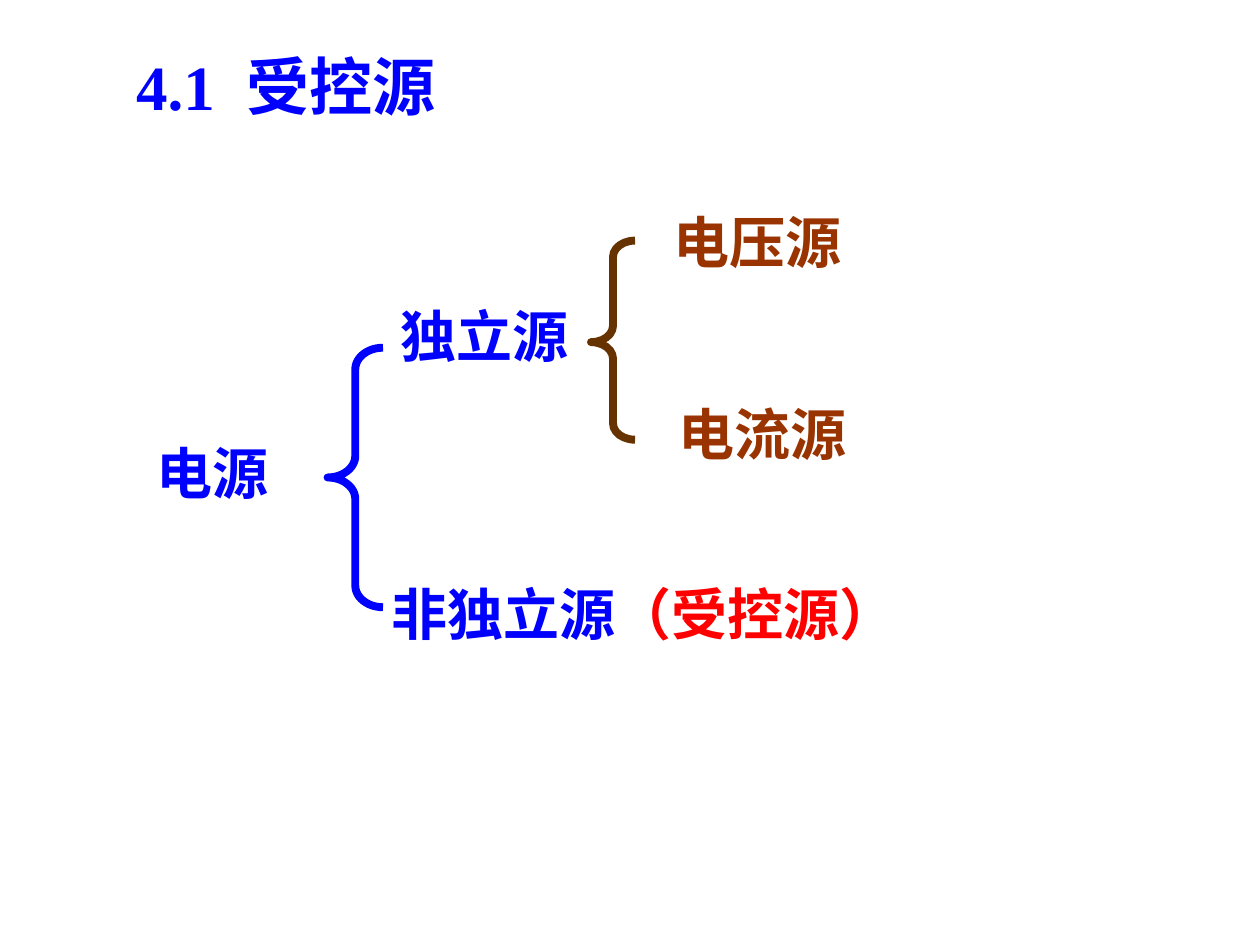
"""Build the slide that sorts power sources into a bracketed tree."""
from dataclasses import dataclass

from lxml.etree import SubElement
from pptx import Presentation
from pptx.dml.color import RGBColor
from pptx.enum.shapes import MSO_SHAPE as Shape
from pptx.enum.text import MSO_ANCHOR as Anchor, MSO_AUTO_SIZE as Fit, PP_ALIGN as Align
from pptx.oxml.ns import qn
from pptx.util import Inches, Pt

BLUE = RGBColor(0x00, 0x00, 0xFF)
RED = RGBColor(0xFF, 0x00, 0x00)
RUST = RGBColor(0x99, 0x33, 0x00)
BROWN = RGBColor(0x66, 0x33, 0x00)
HAN = "Noto Sans CJK SC"
ROMAN = "Times New Roman"


@dataclass
class Label:
    left: float
    top: float
    width: float
    words: list[tuple[str, RGBColor]]
    height: float = 0.64


@dataclass
class Brace:
    left: float
    top: float
    width: float
    height: float
    color: RGBColor
    curve: float
    tip: float


LABELS = [
    Label(1.14, 3.43, 1.81, [("电源", BLUE)]),
    Label(3.01, 4.55, 4.74, [("非独立源", BLUE), ("（受控源）", RED)]),
    Label(3.08, 2.34, 2.32, [("独立源", BLUE)]),
    Label(5.25, 1.6, 2.32, [("电压源", RUST)]),
    Label(5.29, 3.12, 2.36, [("电流源", RUST)]),
]
BRACES = [
    Brace(2.6, 2.76, 0.44, 2.06, BLUE, 0.39, 0.5),
    Brace(4.69, 1.91, 0.35, 1.58, BROWN, 0.37, 0.51),
]


def add_run(para, text: str, color: RGBColor, size: int, face: str, gap: int = 0) -> None:
    run = para.add_run()
    run.text = text
    font = run.font
    font.name, font.size, font.bold = face, Pt(size), True
    font.color.rgb = color
    props = run._r.get_or_add_rPr()
    SubElement(props, qn("a:ea")).set("typeface", HAN)
    if gap:
        props.set("spc", str(gap * 100))


def add_title(slide) -> None:
    title = slide.shapes.title
    title.left, title.top = Inches(0.98), Inches(0.28)
    title.width, title.height = Inches(4.73), Inches(0.79)
    frame = title.text_frame
    frame.auto_size = Fit.NONE
    frame.vertical_anchor = Anchor.MIDDLE
    para = frame.paragraphs[0]
    para.alignment = Align.LEFT
    for text, gap in (("4.1", 0), (" ", 9), ("受控源", 0)):
        add_run(para, text, BLUE, 36, ROMAN, gap)


def add_label(slide, label: Label) -> None:
    box = slide.shapes.add_textbox(
        Inches(label.left), Inches(label.top), Inches(label.width), Inches(label.height))
    frame = box.text_frame
    frame.word_wrap = True
    frame.auto_size = Fit.SHAPE_TO_FIT_TEXT
    for text, color in label.words:
        add_run(frame.paragraphs[0], text, color, 32, HAN)


def add_brace(slide, brace: Brace) -> None:
    shape = slide.shapes.add_shape(
        Shape.LEFT_BRACE, Inches(brace.left), Inches(brace.top),
        Inches(brace.width), Inches(brace.height))
    shape.adjustments[0] = brace.curve
    shape.adjustments[1] = brace.tip
    shape.shadow.inherit = False
    shape.fill.background()
    shape.line.color.rgb = brace.color
    shape.line.width = Pt(4.5)


def main() -> None:
    deck = Presentation()
    deck.slide_width, deck.slide_height = Inches(10), Inches(7.5)
    slide = deck.slides.add_slide(deck.slide_layouts[5])
    add_title(slide)
    for label in LABELS:
        add_label(slide, label)
    for brace in BRACES:
        add_brace(slide, brace)
    deck.save("out.pptx")


if __name__ == "__main__":
    main()
